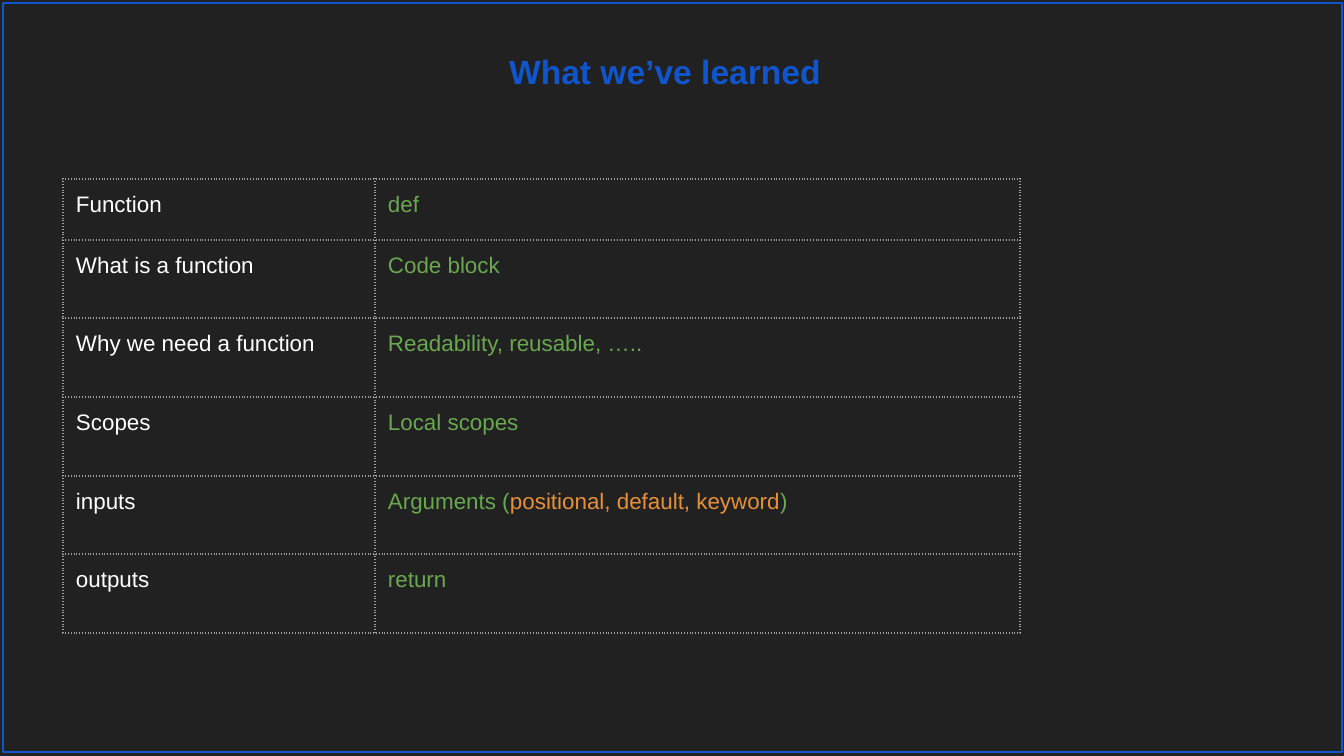
from itertools import pairwise

from lxml.etree import SubElement
from pptx import Presentation
from pptx.dml.color import RGBColor
from pptx.enum.shapes import MSO_SHAPE
from pptx.enum.text import MSO_ANCHOR, PP_ALIGN
from pptx.oxml.ns import qn
from pptx.util import Emu, Pt

SCALE = 914400 / 134.4
COLORS = {"back": "212121", "blue": "1155CC", "white": "FFFFFF",
          "green": "6AA84F", "orange": "E69138", "border": "9E9E9E"}


def px(pixels):
    return Emu(round(pixels * SCALE))


def write(para, text, size=12, color="white", bold=False, align=PP_ALIGN.LEFT):
    para.alignment = align
    span = para.add_run()
    span.text = text
    span.font.name = "Arial"
    span.font.size = Pt(size)
    span.font.bold = bold
    span.font.color.rgb = RGBColor.from_string(COLORS[color])


deck = Presentation()
deck.slide_width, deck.slide_height = px(1344), px(756)
page = deck.slides.add_slide(deck.slide_layouts[6])
page.background.fill.solid()
page.background.fill.fore_color.rgb = RGBColor.from_string(COLORS["back"])

# Title
title = page.shapes.add_textbox(px(-7), px(38), px(1344), px(85))
title_frame = title.text_frame
title_frame.word_wrap = True
title_frame.vertical_anchor = MSO_ANCHOR.TOP
title_frame.margin_left = title_frame.margin_right = px(13)
title_frame.margin_top = title_frame.margin_bottom = px(13)
write(title_frame.paragraphs[0], "What we’ve learned", size=18, color="blue",
      bold=True, align=PP_ALIGN.CENTER)

# Summary table: each topic with its answer spans
topics = [
    ("Function", [("def", "green")]),
    ("What is a function", [("Code block", "green")]),
    ("Why we need a function", [("Readability, reusable, …..", "green")]),
    ("Scopes", [("Local scopes", "green")]),
    ("inputs", [("Arguments (", "green"),
                ("positional, default, keyword", "orange"), (")", "green")]),
    ("outputs", [("return ", "green")]),
]
column_edges = [63, 375, 1020]
row_edges = [179, 240, 318, 397, 476, 554, 633]
table = page.shapes.add_table(
    len(topics), 2, px(column_edges[0]), px(row_edges[0]),
    px(column_edges[-1] - column_edges[0]),
    px(row_edges[-1] - row_edges[0])).table
table.first_row = table.horz_banding = False
for column, (left, right) in zip(table.columns, pairwise(column_edges)):
    column.width = px(right - left)
for row, (top, bottom) in zip(table.rows, pairwise(row_edges)):
    row.height = px(bottom - top)

for row, (topic, answer) in zip(table.rows, topics):
    for cell, spans in zip(row.cells, ([(topic, "white")], answer)):
        cell.margin_left = cell.margin_right = px(13)
        cell.margin_top = cell.margin_bottom = px(13)
        cell.vertical_anchor = MSO_ANCHOR.TOP
        for text, color in spans:
            write(cell.text_frame.paragraphs[0], text, color=color)
        # Dotted borders come before the fill in the cell properties
        properties = cell._tc.get_or_add_tcPr()
        for side in ("a:lnL", "a:lnR", "a:lnT", "a:lnB"):
            border = SubElement(properties, qn(side), w=str(Pt(0.75)))
            paint = SubElement(border, qn("a:solidFill"))
            SubElement(paint, qn("a:srgbClr"), val=COLORS["border"])
            SubElement(border, qn("a:prstDash"), val="dot")
        cell.fill.background()

# Page frame
frame = page.shapes.add_shape(MSO_SHAPE.RECTANGLE, px(3), px(3), px(1339), px(749))
frame.shadow.inherit = False
frame.fill.background()
frame.line.color.rgb = RGBColor.from_string(COLORS["blue"])
frame.line.width = Pt(0.75)

deck.save("out.pptx")
